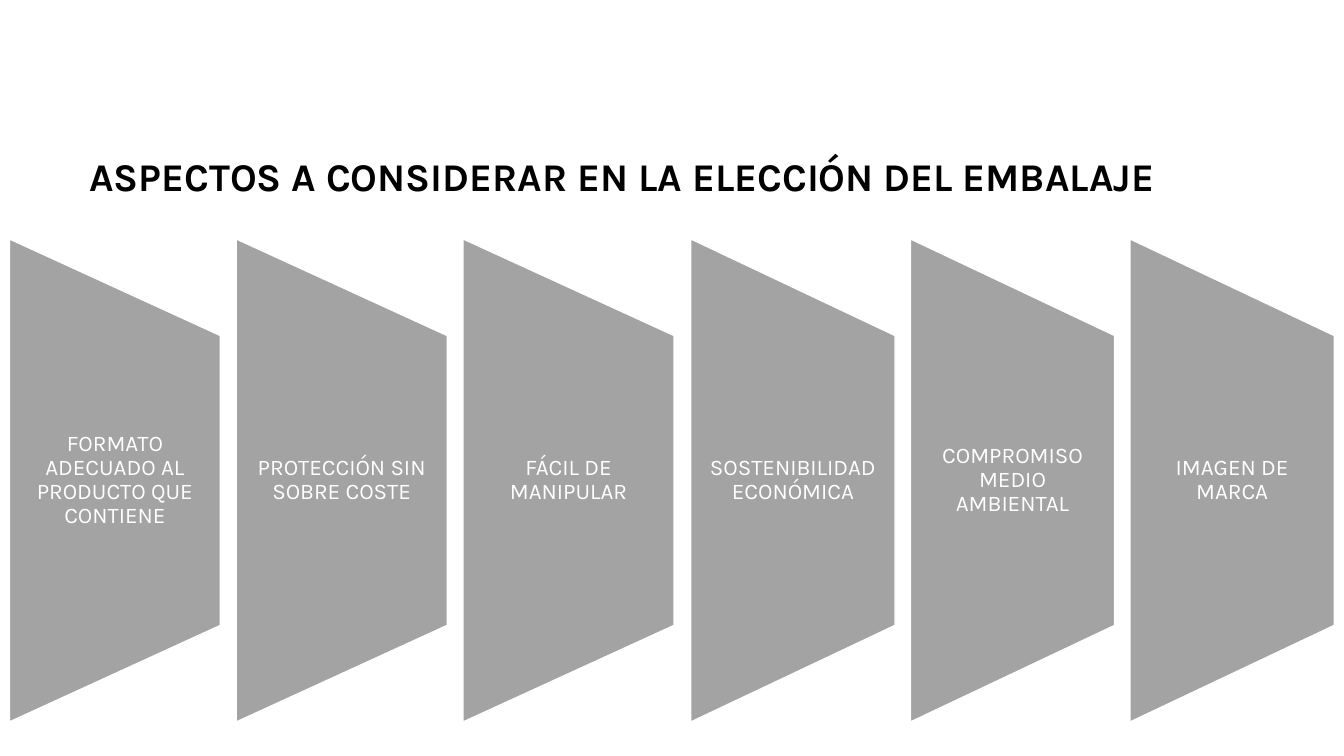
import pptx
import pptx.dml.color
import pptx.enum.shapes
import pptx.enum.text
import pptx.util

BLACK = pptx.dml.color.RGBColor(0x00, 0x00, 0x00)
WHITE = pptx.dml.color.RGBColor(0xFF, 0xFF, 0xFF)
GREY = pptx.dml.color.RGBColor(0xA3, 0xA3, 0xA3)

TITLE = "ASPECTOS A CONSIDERAR EN LA ELECCIÓN DEL EMBALAJE"

# Left edge and panel width (percent of the slide), then the panel labels.
PANEL_GROUPS = [
    (51.4, 15.2, ["SOSTENIBILIDAD ECONÓMICA", "COMPROMISO MEDIO AMBIENTAL",
                  "IMAGEN DE MARCA"]),
    (0.7, 15.7, ["FORMATO ADECUADO AL PRODUCTO QUE CONTIENE",
                 "PROTECCIÓN SIN SOBRE COSTE", "FÁCIL DE MANIPULAR"]),
]
PANEL_TOP, PANEL_HEIGHT = 31.6, 63.9
PITCH_TO_WIDTH = 1.075
LABEL_SHARE = 0.6


class PackagingSlide:
    """Draws on one slide; all lengths are percentages of the slide's size."""

    font_name = "Karla"
    title_size = pptx.util.Pt(28)
    label_size = pptx.util.Pt(16)

    def __init__(self, presentation):
        self.width = presentation.slide_width
        self.height = presentation.slide_height
        self.slide = presentation.slides.add_slide(presentation.slide_layouts[5])

    def across(self, percent):
        return round(self.width * percent / 100)

    def down(self, percent):
        return round(self.height * percent / 100)

    def add_styled_run(self, paragraph, text, size, color, bold=False):
        run = paragraph.add_run()
        run.text = text
        run.font.name = self.font_name
        run.font.size = size
        run.font.color.rgb = color
        run.font.bold = bold

    def title(self, text, left, top, width, height):
        placeholder = self.slide.shapes.title
        placeholder.left, placeholder.top = self.across(left), self.down(top)
        placeholder.width, placeholder.height = self.across(width), self.down(height)
        frame = placeholder.text_frame
        frame.word_wrap = True
        frame.auto_size = pptx.enum.text.MSO_AUTO_SIZE.SHAPE_TO_FIT_TEXT
        frame.vertical_anchor = pptx.enum.text.MSO_ANCHOR.TOP
        paragraph = frame.paragraphs[0]
        paragraph.alignment = pptx.enum.text.PP_ALIGN.LEFT
        self.add_styled_run(paragraph, text, self.title_size, BLACK, bold=True)

    def panel(self, shapes, left, width):
        """Adds a trapezoid turned a quarter, its long side on the left."""
        length, thickness = self.down(PANEL_HEIGHT), self.across(width)
        center_x = self.across(left) + thickness // 2
        center_y = self.down(PANEL_TOP) + length // 2
        shape = shapes.add_shape(
            pptx.enum.shapes.MSO_SHAPE.FLOWCHART_MANUAL_OPERATION,
            center_x - length // 2, center_y - thickness // 2, length, thickness)
        shape.rotation = 270
        shape.shadow.inherit = False
        shape.fill.solid()
        shape.fill.fore_color.rgb = GREY
        shape.line.color.rgb = WHITE
        shape.line.width = pptx.util.Pt(1)

    def label(self, shapes, text, left, width):
        height = PANEL_HEIGHT * LABEL_SHARE
        top = PANEL_TOP + (PANEL_HEIGHT - height) / 2
        box = shapes.add_textbox(self.across(left), self.down(top),
                                 self.across(width), self.down(height))
        frame = box.text_frame
        frame.word_wrap = True
        frame.vertical_anchor = pptx.enum.text.MSO_ANCHOR.MIDDLE
        frame.margin_left = frame.margin_right = pptx.util.Inches(0.11)
        frame.margin_top = frame.margin_bottom = 0
        paragraph = frame.paragraphs[0]
        paragraph.alignment = pptx.enum.text.PP_ALIGN.CENTER
        paragraph.line_spacing = 0.9
        paragraph.space_after = pptx.util.Pt(5.6)
        self.add_styled_run(paragraph, text, self.label_size, WHITE)

    def panel_group(self, left, width, labels):
        shapes = self.slide.shapes.add_group_shape().shapes
        for index, text in enumerate(labels):
            panel_left = left + index * width * PITCH_TO_WIDTH
            self.panel(shapes, panel_left, width)
            self.label(shapes, text, panel_left, width)


def main():
    presentation = pptx.Presentation()
    presentation.slide_width = pptx.util.Inches(13.33)
    presentation.slide_height = pptx.util.Inches(7.5)
    page = PackagingSlide(presentation)
    for left, width, labels in PANEL_GROUPS:
        page.panel_group(left, width, labels)
    page.title(TITLE, left=5.9, top=19.5, width=94.1, height=7.6)
    presentation.save("out.pptx")


if __name__ == "__main__":
    main()
